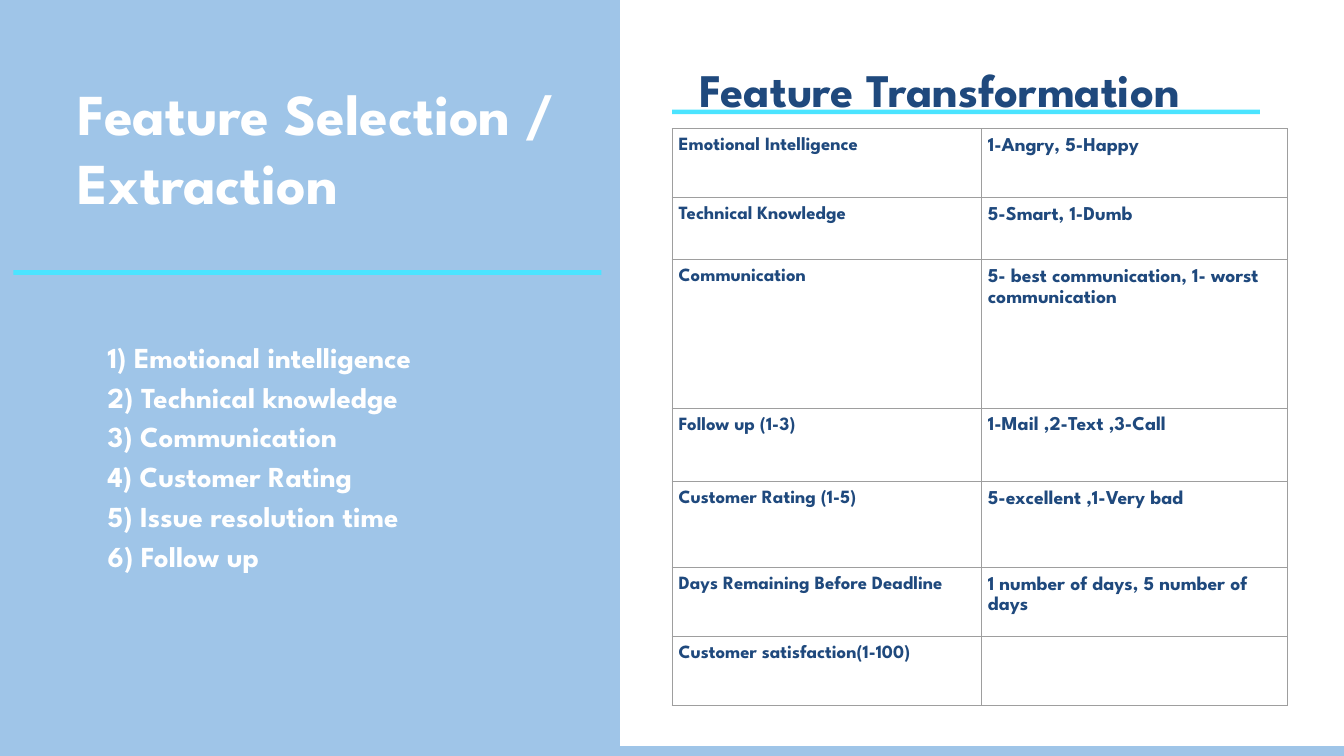
from lxml.etree import SubElement
from pptx import Presentation
from pptx.dml.color import RGBColor
from pptx.enum.shapes import MSO_SHAPE
from pptx.enum.text import MSO_ANCHOR, MSO_AUTO_SIZE, PP_ALIGN
from pptx.oxml.ns import qn
from pptx.util import Inches, Pt

SKY = RGBColor(0x9F, 0xC5, 0xE8)
WHITE = RGBColor(0xFF, 0xFF, 0xFF)
CYAN = RGBColor(0x4B, 0xE4, 0xFF)
NAVY = RGBColor(0x1F, 0x49, 0x7D)
GRID_GREY = RGBColor(0x9E, 0x9E, 0x9E)

FEATURES = [
    "Emotional intelligence",
    "Technical knowledge",
    "Communication",
    "Customer Rating",
    "Issue resolution time",
    "Follow up",
]
TRANSFORMATIONS = [
    ("Emotional Intelligence", "1-Angry, 5-Happy", 1.03),
    ("Technical Knowledge", "5-Smart, 1-Dumb", 0.92),
    ("Communication", "5- best communication, 1- worst communication", 2.21),
    ("Follow up (1-3)", "1-Mail ,2-Text ,3-Call", 1.09),
    ("Customer Rating (1-5)", "5-excellent ,1-Very bad", 1.28),
    ("Days Remaining Before Deadline", "1 number of days, 5 number of days", 1.03),
    ("Customer satisfaction(1-100)", "", 1.03),
]
COLUMN_WIDTHS = (4.6, 4.55)
COLUMN_SIZES = (20, 21)


def apply_format(target, values):
    for name, value in values.items():
        setattr(target, name, value)


def write_lines(frame, lines, size, color, spacing):
    """Fill a text frame with one bold paragraph per line."""
    for index, line in enumerate(lines):
        paragraph = frame.add_paragraph() if index else frame.paragraphs[0]
        apply_format(paragraph, {"alignment": PP_ALIGN.LEFT, "line_spacing": spacing})
        run = paragraph.add_run()
        run.text = line
        apply_format(run.font, {"name": "League Spartan", "size": Pt(size), "bold": True})
        run.font.color.rgb = color


def add_text(slide, position, lines, size, color, spacing=1.0):
    frame = slide.shapes.add_textbox(*map(Inches, position)).text_frame
    apply_format(frame, {
        "word_wrap": True,
        "auto_size": MSO_AUTO_SIZE.SHAPE_TO_FIT_TEXT,
        "vertical_anchor": MSO_ANCHOR.TOP,
        "margin_left": 0,
        "margin_right": 0,
        "margin_top": 0,
        "margin_bottom": 0,
    })
    write_lines(frame, lines, size, color, spacing)


def add_block(slide, position, color):
    block = slide.shapes.add_shape(MSO_SHAPE.RECTANGLE, *map(Inches, position))
    block.shadow.inherit = False
    block.fill.solid()
    block.fill.fore_color.rgb = color
    block.line.fill.background()


def add_rule(slide, left, top):
    add_block(slide, (left, top, 8.75, 0.07), CYAN)


def draw_borders(cell):
    properties = cell._tc.get_or_add_tcPr()
    for index, side in enumerate(("lnL", "lnR", "lnT", "lnB")):
        border = properties.makeelement(qn(f"a:{side}"), {"w": str(Pt(0.75))})
        fill = SubElement(border, qn("a:solidFill"))
        SubElement(fill, qn("a:srgbClr"), val=str(GRID_GREY))
        properties.insert(index, border)


def add_transformation_table(slide, left, top):
    heights = [height for _, _, height in TRANSFORMATIONS]
    table = slide.shapes.add_table(
        len(heights), len(COLUMN_WIDTHS), Inches(left), Inches(top),
        Inches(sum(COLUMN_WIDTHS)), Inches(sum(heights)),
    ).table
    apply_format(table, {"first_row": False, "horz_banding": False})
    for column, width in zip(table.columns, COLUMN_WIDTHS):
        column.width = Inches(width)
    for row, (feature, scale, height) in zip(table.rows, TRANSFORMATIONS):
        row.height = Inches(height)
        for cell, text, size in zip(row.cells, (feature, scale), COLUMN_SIZES):
            margins = ("margin_left", "margin_right", "margin_top", "margin_bottom")
            apply_format(cell, dict.fromkeys(margins, Inches(0.1)))
            cell.fill.background()
            draw_borders(cell)
            if text:
                write_lines(cell.text_frame, [text], size, NAVY, 1.15)


def main():
    presentation = Presentation()
    apply_format(presentation, {"slide_width": Inches(20), "slide_height": Inches(11.25)})
    slide = presentation.slides.add_slide(presentation.slide_layouts[6])
    slide.background.fill.solid()
    slide.background.fill.fore_color.rgb = SKY

    add_text(slide, (1.16, 1.15, 7.53, 2.09), ["Feature Selection / Extraction"], 62, WHITE)
    numbered = [f"{number}) {feature}" for number, feature in enumerate(FEATURES, 1)]
    add_text(slide, (1.6, 4.97, 6.82, 4.28), numbered, 31, WHITE, 1.15)
    add_rule(slide, 0.2, 4.02)

    add_block(slide, (9.23, -0.27, 10.96, 11.37), WHITE)
    add_text(slide, (10.41, 0.57, 7.53, 0.84), ["Feature Transformation"], 50, NAVY, 1.4)
    add_rule(slide, 10, 1.63)
    add_transformation_table(slide, 10, 1.91)
    presentation.save("out.pptx")


if __name__ == "__main__":
    main()
